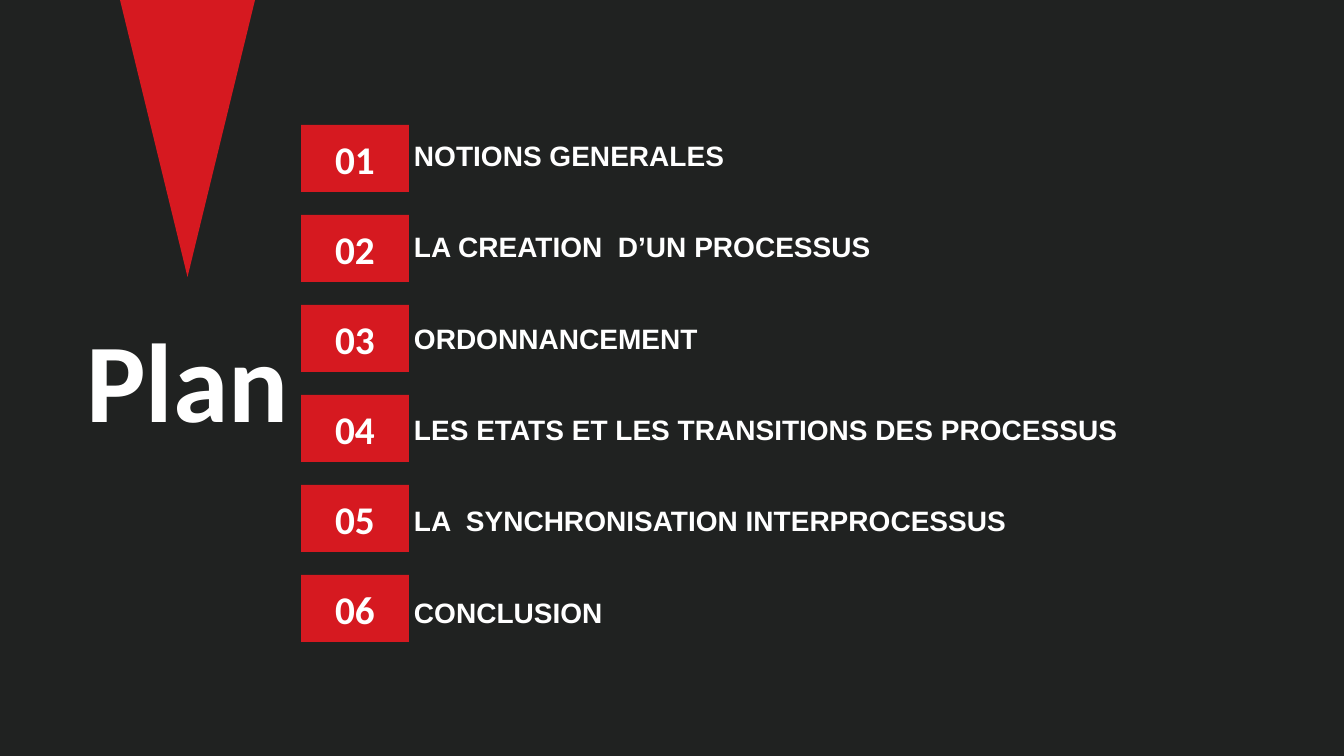
"""Build the "Plan" agenda slide with numbered badges beside a list of topics."""
from dataclasses import dataclass

from lxml.etree import SubElement
from pptx import Presentation
from pptx.dml.color import RGBColor
from pptx.enum.shapes import MSO_SHAPE
from pptx.enum.text import MSO_ANCHOR, MSO_AUTO_SIZE, PP_ALIGN
from pptx.oxml.ns import qn
from pptx.shapes.autoshape import Shape
from pptx.slide import Slide
from pptx.text.text import TextFrame, _Paragraph
from pptx.util import Emu, Pt

PIXELS_PER_INCH = 100.8


@dataclass(frozen=True)
class Theme:
    background: RGBColor = RGBColor(0x20, 0x22, 0x21)
    accent: RGBColor = RGBColor(0xD6, 0x19, 0x20)
    text: RGBColor = RGBColor(0xFF, 0xFF, 0xFF)
    heading_font: str = "Calibri"
    topic_font: str = "Arial"
    title_size: int = 80
    number_size: int = 28
    topic_size: int = 20
    topic_line_height: int = 23


@dataclass(frozen=True)
class Box:
    left: int
    top: int
    width: int
    height: int

    def emu(self) -> tuple[Emu, Emu, Emu, Emu]:
        return px(self.left), px(self.top), px(self.width), px(self.height)


THEME = Theme()
SLIDE_BOX = Box(0, 0, 1344, 756)
TRIANGLE_BOX = Box(120, 0, 135, 277)
TITLE_BOX = Box(76, 305, 252, 146)
FIRST_BADGE = Box(301, 125, 108, 67)
ROW_PITCH = 90
TOPIC_LEFT, TOPIC_WIDTH = 414, 911
TOPICS = [
    "NOTIONS GENERALES",
    "LA CREATION  D’UN PROCESSUS",
    "ORDONNANCEMENT",
    "LES ETATS ET LES TRANSITIONS DES PROCESSUS",
    "LA  SYNCHRONISATION INTERPROCESSUS",
    "CONCLUSION",
]


def px(pixels: int) -> Emu:
    return Emu(round(pixels * 914400 / PIXELS_PER_INCH))


def place(shape: Shape, box: Box) -> None:
    shape.left, shape.top, shape.width, shape.height = box.emu()


def format_runs(paragraph: _Paragraph, font_name: str, size: int) -> None:
    for run in paragraph.runs:
        run.font.name = font_name
        run.font.size = Pt(size)
        run.font.bold = True
        run.font.color.rgb = THEME.text


def clear_margins(text_frame: TextFrame) -> None:
    text_frame.margin_left = text_frame.margin_right = 0
    text_frame.margin_top = text_frame.margin_bottom = 0


def add_accent_shape(slide: Slide, kind: MSO_SHAPE, box: Box) -> Shape:
    shape = slide.shapes.add_shape(kind, *box.emu())
    shape.shadow.inherit = False
    shape.fill.solid()
    shape.fill.fore_color.rgb = THEME.accent
    shape.line.fill.background()
    return shape


def add_badge(slide: Slide, row: int) -> None:
    first = FIRST_BADGE
    box = Box(first.left, first.top + row * ROW_PITCH, first.width, first.height)
    text_frame = add_accent_shape(slide, MSO_SHAPE.RECTANGLE, box).text_frame
    clear_margins(text_frame)
    text_frame.vertical_anchor = MSO_ANCHOR.MIDDLE
    text_frame.text = f"{row + 1:02d}"
    paragraph = text_frame.paragraphs[0]
    paragraph.alignment = PP_ALIGN.CENTER
    format_runs(paragraph, THEME.heading_font, THEME.number_size)


def fill_title(title: Shape) -> None:
    place(title, TITLE_BOX)
    text_frame = title.text_frame
    text_frame.text = "Plan"
    text_frame.auto_size = MSO_AUTO_SIZE.NONE
    text_frame.vertical_anchor = MSO_ANCHOR.TOP
    paragraph = text_frame.paragraphs[0]
    paragraph.alignment = PP_ALIGN.LEFT
    format_runs(paragraph, THEME.heading_font, THEME.title_size)


def fill_topics(body: Shape) -> None:
    height = (len(TOPICS) - 1) * ROW_PITCH + FIRST_BADGE.height
    place(body, Box(TOPIC_LEFT, FIRST_BADGE.top, TOPIC_WIDTH, height))
    text_frame = body.text_frame
    text_frame.text = "\n".join(TOPICS)
    text_frame.auto_size = MSO_AUTO_SIZE.NONE
    text_frame.vertical_anchor = MSO_ANCHOR.MIDDLE
    clear_margins(text_frame)
    row_gap = Pt(ROW_PITCH * 72 / PIXELS_PER_INCH - THEME.topic_line_height)
    for row, paragraph in enumerate(text_frame.paragraphs):
        properties = paragraph._p.get_or_add_pPr()
        properties.set("marL", "0")
        properties.set("indent", "0")
        SubElement(properties, qn("a:buNone"))
        paragraph.alignment = PP_ALIGN.JUSTIFY
        paragraph.space_before = row_gap if row else Pt(0)
        format_runs(paragraph, THEME.topic_font, THEME.topic_size)


def main() -> None:
    presentation = Presentation()
    presentation.slide_width = px(SLIDE_BOX.width)
    presentation.slide_height = px(SLIDE_BOX.height)
    slide = presentation.slides.add_slide(presentation.slide_layouts[1])
    slide.background.fill.solid()
    slide.background.fill.fore_color.rgb = THEME.background

    triangle = add_accent_shape(slide, MSO_SHAPE.ISOSCELES_TRIANGLE, TRIANGLE_BOX)
    triangle.rotation = 180
    fill_title(slide.shapes.title)
    for row in range(len(TOPICS)):
        add_badge(slide, row)
    fill_topics(slide.placeholders[1])
    presentation.save("out.pptx")


if __name__ == "__main__":
    main()
